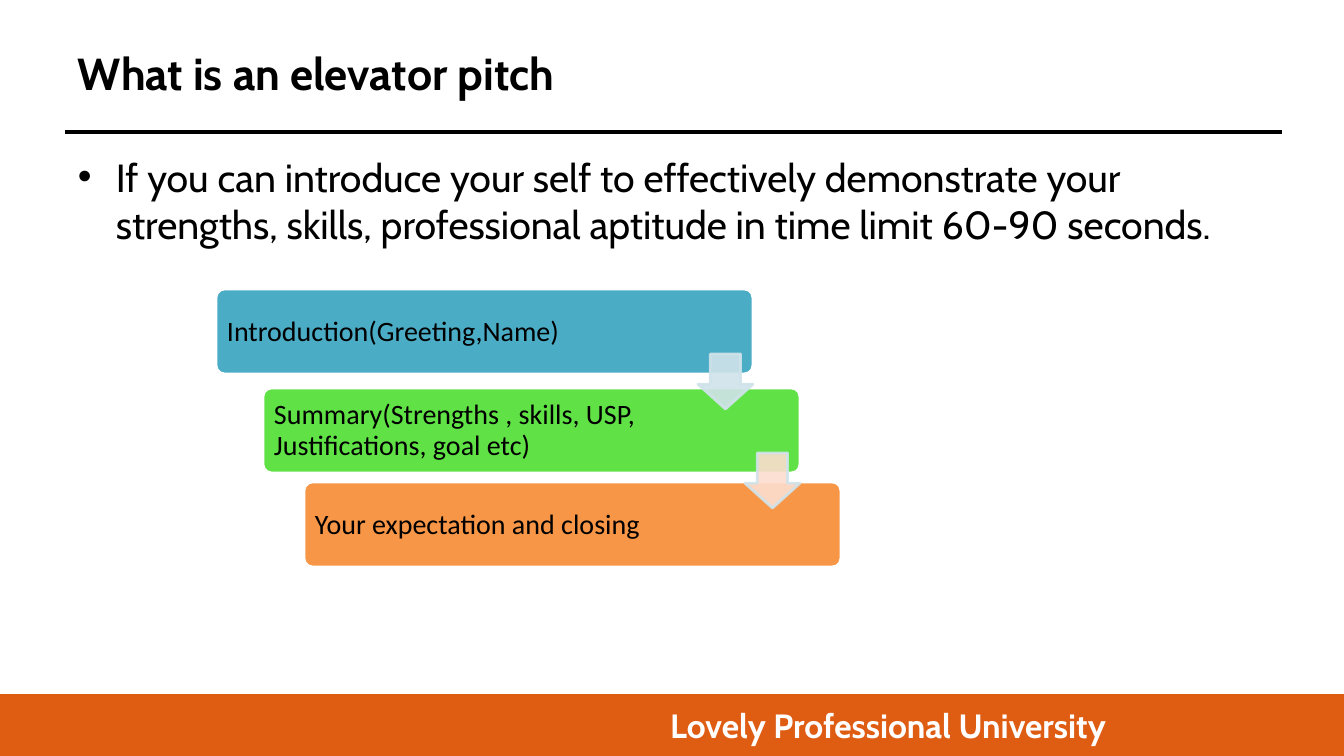
from pptx import Presentation
from pptx.util import Emu, Pt
from pptx.dml.color import RGBColor
from pptx.enum.shapes import MSO_SHAPE, MSO_CONNECTOR
from pptx.enum.text import MSO_ANCHOR
from lxml.etree import SubElement
from pptx.oxml.ns import qn

SCALE = 914400 / 100.8
COLORS = {
    "ink": "000000", "white": "FFFFFF", "footer": "DF5C13",
    "intro": "4BACC6", "summary": "60E146", "closing": "F79646",
    "ice": "D0E3EA", "peach": "FCDDCF",
}


def px(n):
    return Emu(round(n * SCALE))


def rgb(name):
    return RGBColor.from_string(COLORS[name])


def add_block(slide, kind, box, fill, line, adjust=()):
    block = slide.shapes.add_shape(kind, *map(px, box))
    block.shadow.inherit = False
    block.fill.solid()
    block.fill.fore_color.rgb = rgb(fill)
    block.line.color.rgb = rgb(line)
    block.line.width = Pt(2)
    for i, value in enumerate(adjust):
        block.adjustments[i] = value
    return block


def set_text(shape, text, size, font, color="ink", bold=False,
             anchor=MSO_ANCHOR.MIDDLE, inset=None):
    frame = shape.text_frame
    frame.word_wrap = True
    frame.vertical_anchor = anchor
    if inset is not None:
        frame.margin_left = frame.margin_right = px(inset)
        frame.margin_top = frame.margin_bottom = px(inset)
    para = frame.paragraphs[0]
    run = para.add_run()
    run.text = text
    run.font.size = Pt(size)
    run.font.name = font
    run.font.bold = bold
    run.font.color.rgb = rgb(color)
    return para


def add_text(slide, box, *args, **style):
    return set_text(slide.shapes.add_textbox(*map(px, box)), *args, **style)


def add_bullet(para, indent):
    props = para._p.get_or_add_pPr()
    props.set("marL", str(px(indent)))
    props.set("indent", str(-px(indent)))
    SubElement(props, qn("a:buFont")).set("typeface", "Arial")
    SubElement(props, qn("a:buChar")).set("char", "•")


def add_rule(slide, left, right, y):
    rule = slide.shapes.add_connector(
        MSO_CONNECTOR.STRAIGHT, px(left), px(y), px(right), px(y))
    rule.line.color.rgb = rgb("ink")
    rule.line.width = Pt(3)
    SubElement(rule._element.spPr, qn("a:effectLst"))


def add_step(slide, left, top, width, fill, text):
    add_block(slide, MSO_SHAPE.ROUNDED_RECTANGLE, (left, top, 537, 85),
              fill, "white", (0.1,))
    para = add_text(slide, (left + 3, top + 3, width, 80), text, 20,
                    "Calibri", inset=8)
    para.line_spacing = 0.9


def add_arrow(slide, left, top, fill):
    arrow = add_block(slide, MSO_SHAPE.DOWN_ARROW, (left, top, 55, 55),
                      fill, "ice", (0.55, 0.45))
    # Slight transparency on fill and outline
    for color in arrow._element.spPr.iter(qn("a:srgbClr")):
        SubElement(color, qn("a:alpha")).set("val", "90000")


def main():
    deck = Presentation()
    deck.slide_width, deck.slide_height = px(1344), px(756)
    slide = deck.slides.add_slide(deck.slide_layouts[6])

    # Frame: title rule and footer band
    add_rule(slide, 65, 1282, 132)
    footer = add_block(slide, MSO_SHAPE.RECTANGLE, (0, 695, 1344, 61),
                       "footer", "footer")
    set_text(footer, "Lovely Professional University", 24, "Cabin",
             color="white", bold=True)
    # Centre the name in the right part of the band
    footer.text_frame.margin_left = px(442)
    footer.text_frame.margin_right = px(10)

    # Title and main point
    add_text(slide, (68, 30, 1092, 86), "What is an elevator pitch", 32,
             "Cabin", bold=True)
    point = add_text(
        slide, (68, 148, 1210, 527),
        "If you can introduce your self to effectively demonstrate your "
        "strengths, skills, professional aptitude in time limit "
        "60-90 seconds.", 28, "Cabin", anchor=MSO_ANCHOR.TOP)
    add_bullet(point, 38)

    # Staircase of steps, joined by arrows
    steps = [
        (216, 289, 445, "intro", "Introduction(Greeting,Name)"),
        (263, 388, 429, "summary",
         "Summary(Strengths , skills, USP, Justifications, goal etc)"),
        (304, 482, 429, "closing", "Your expectation and closing"),
    ]
    for step in steps:
        add_step(slide, *step)
    for (left, top, *_), fill in zip(steps, ("ice", "peach")):
        add_arrow(slide, left + 482, top + 65, fill)

    deck.save("out.pptx")


if __name__ == "__main__":
    main()
